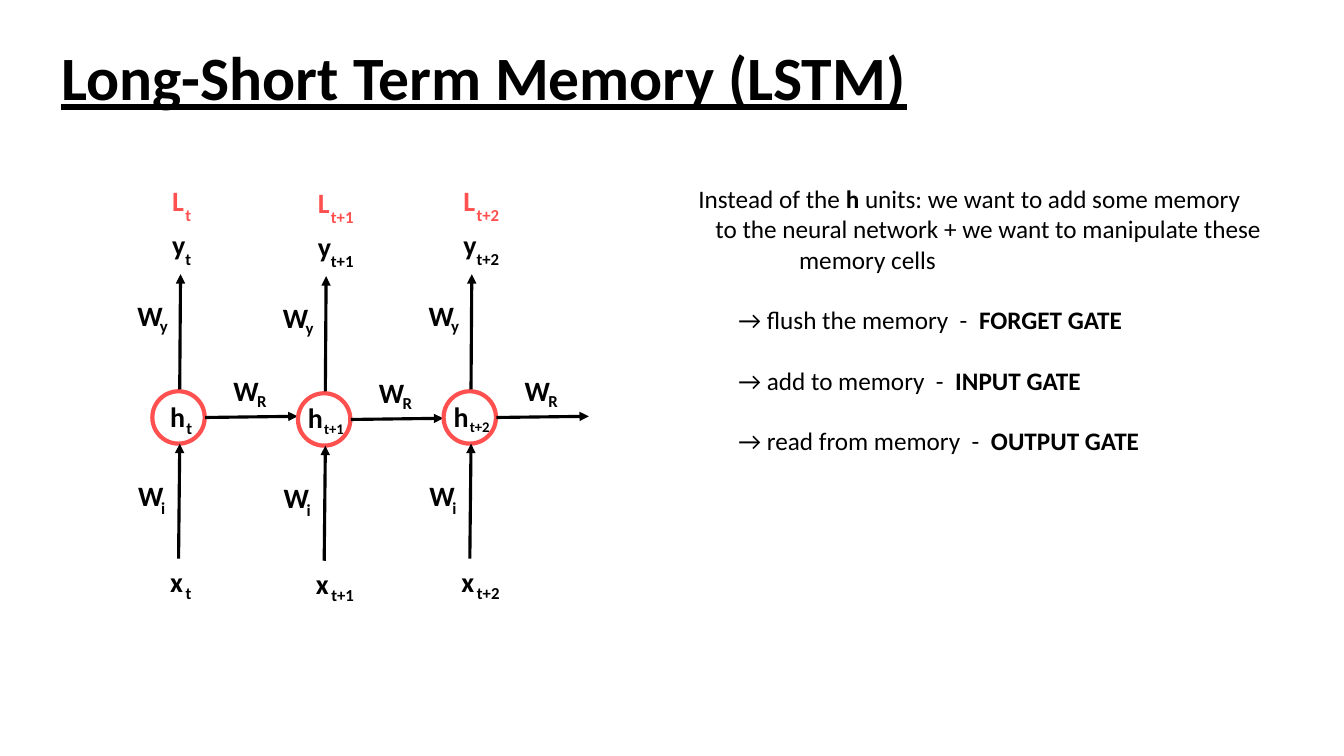
from lxml.etree import SubElement
from pptx import Presentation
from pptx.dml.color import RGBColor
from pptx.enum.shapes import MSO_CONNECTOR, MSO_SHAPE
from pptx.enum.text import MSO_ANCHOR, MSO_AUTO_SIZE
from pptx.oxml.ns import qn
from pptx.util import Cm, Pt

BLACK = RGBColor(0x00, 0x00, 0x00)
WHITE = RGBColor(0xFF, 0xFF, 0xFF)
CORAL = RGBColor(0xFF, 0x50, 0x50)
FONT = "Calibri"

CELL_STEP = 3.67
CELL_SIZE = 1.32
MIDDLE_DROP = 0.05
SYMBOL_WIDTHS = {"x": 0.84, "h": 0.89, "W": 1.17, "y": 0.86, "L": 0.81}
INDEX_WIDTHS = {"t": 0.66, "i": 0.61, "R": 0.76, "y": 0.71, "t+1": 1.09, "t+2": 1.09}
TIME_STEPS = ["t", "t+1", "t+2"]

WEIGHTS = [
    ("i", (-0.61, 2.08), (-0.03, 2.57)),
    ("R", (1.79, -0.58), (2.39, -0.13)),
    ("y", (-0.63, -2.46), (-0.06, -2.02)),
]
STATES = [
    ("x", (0.2, 4.24), (0.59, 4.7), BLACK),
    ("y", (0.25, -4.24), (0.58, -3.71), BLACK),
    ("L", (0.25, -5.36), (0.58, -4.83), CORAL),
]
ARROWS = [
    ((0.66, 4.22), (0.69, 1.32)),
    ((0.69, -0.05), (0.71, -2.95)),
    ((1.33, 0.66), (3.66, 0.63)),
]
INTRO = [
    (0, [("Instead of the ", False), ("h", True),
         (" units: we want to add some memory", False)]),
    (0.43, [("to the neural network + we want to manipulate these", False)]),
    (2.54, [("memory cells", False)]),
]
GATES = [
    ("flush the memory", "FORGET GATE"),
    ("add to memory", "INPUT GATE"),
    ("read from memory", "OUTPUT GATE"),
]


def add_run(paragraph, text, size, bold=True, color=BLACK):
    run = paragraph.add_run()
    run.text = text
    run.font.name = FONT
    run.font.size = Pt(size)
    run.font.bold = bold
    run.font.color.rgb = color
    return run


def add_label(slide, text, left, top, width, size, color):
    height = 1.12 if size == 20 else 0.76
    label = slide.shapes.add_textbox(Cm(left), Cm(top), Cm(width), Cm(height))
    frame = label.text_frame
    frame.word_wrap = False
    frame.auto_size = MSO_AUTO_SIZE.SHAPE_TO_FIT_TEXT
    add_run(frame.paragraphs[0], text, size, color=color)


def add_indexed(slide, left, top, symbol, index, symbol_at, index_at,
                color=BLACK, index_size=12):
    add_label(slide, symbol, left + symbol_at[0], top + symbol_at[1],
              SYMBOL_WIDTHS[symbol], 20, color)
    add_label(slide, index, left + index_at[0], top + index_at[1],
              INDEX_WIDTHS[index], index_size, color)


def add_arrow(slide, left, top, start, end):
    arrow = slide.shapes.add_connector(
        MSO_CONNECTOR.STRAIGHT,
        Cm(left + start[0]), Cm(top + start[1]),
        Cm(left + end[0]), Cm(top + end[1]))
    arrow.line.color.rgb = BLACK
    arrow.line.width = Pt(2.25)
    SubElement(arrow.line._get_or_add_ln(), qn("a:tailEnd"), type="triangle")
    SubElement(arrow._element.spPr, qn("a:effectLst"))


def add_cell(slide, left, top, time, is_first):
    unit = slide.shapes.add_shape(
        MSO_SHAPE.OVAL, Cm(left), Cm(top), Cm(CELL_SIZE), Cm(CELL_SIZE))
    unit.shadow.inherit = False
    unit.fill.solid()
    unit.fill.fore_color.rgb = WHITE
    unit.line.color.rgb = CORAL
    unit.line.width = Pt(3)
    for start, end in ARROWS:
        add_arrow(slide, left, top, start, end)
    for index, symbol_at, index_at in WEIGHTS:
        add_indexed(slide, left, top, "W", index, symbol_at, index_at)
    for symbol, symbol_at, index_at, color in STATES:
        add_indexed(slide, left, top, symbol, time, symbol_at, index_at, color)
    shift = 0.2 if is_first else 0
    add_indexed(slide, left, top, "h", time, (shift, 0.07), (0.41 + shift, 0.54),
                index_size=12 if is_first else 10.5)


def add_network(slide, left, top):
    for number, time in enumerate(TIME_STEPS):
        add_cell(slide, left + number * CELL_STEP,
                 top + number % 2 * MIDDLE_DROP, time, number == 0)


def add_title(slide, left, top, width, height):
    title = slide.shapes.add_textbox(Cm(left), Cm(top), Cm(width), Cm(height))
    frame = title.text_frame
    frame.word_wrap = True
    frame.vertical_anchor = MSO_ANCHOR.MIDDLE
    heading = frame.paragraphs[0]
    heading.line_spacing = 0.9
    add_run(heading, "Long-Short Term Memory (LSTM)", 44).font.underline = True


def add_explanation(slide, left, top, width, height):
    explanation = slide.shapes.add_textbox(Cm(left), Cm(top), Cm(width), Cm(height))
    frame = explanation.text_frame
    frame.word_wrap = True
    gate_lines = [(1.01, [(f"→ {action}  -  ", False), (gate, True)])
                  for action, gate in GATES]
    for number, (indent, parts) in enumerate(INTRO + gate_lines):
        line = frame.add_paragraph() if number else frame.paragraphs[0]
        line._p.get_or_add_pPr().set("marL", str(Cm(indent)))
        if number >= len(INTRO):
            line.space_before = Pt(21.6)
        for text, bold in parts:
            add_run(line, text, 18, bold)


def main():
    deck = Presentation()
    deck.slide_width = Cm(33.87)
    deck.slide_height = Cm(19.05)
    slide = deck.slides.add_slide(deck.slide_layouts[6])
    add_title(slide, 1.3, 0.2, 29.21, 3.68)
    add_network(slide, 3.84, 9.86)
    add_explanation(slide, 17.35, 4.5, 14.88, 7.19)
    deck.save("out.pptx")


if __name__ == "__main__":
    main()
